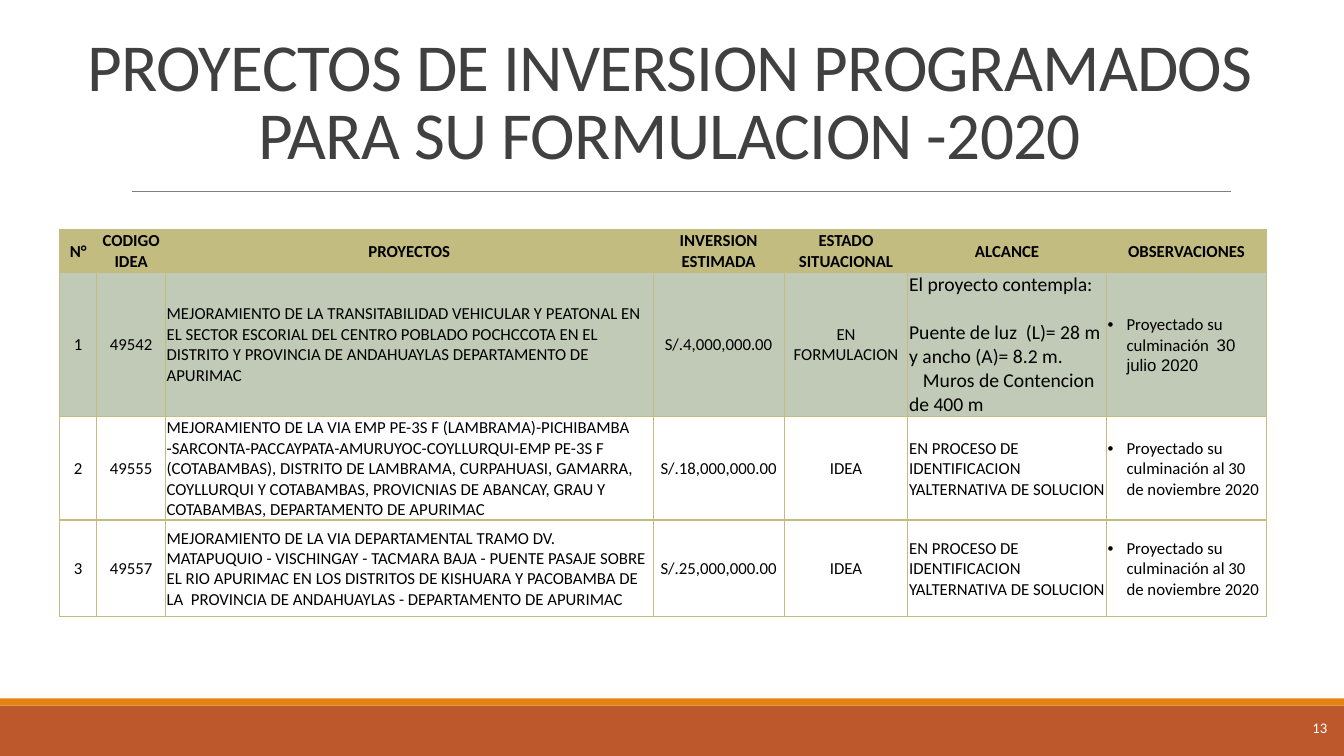
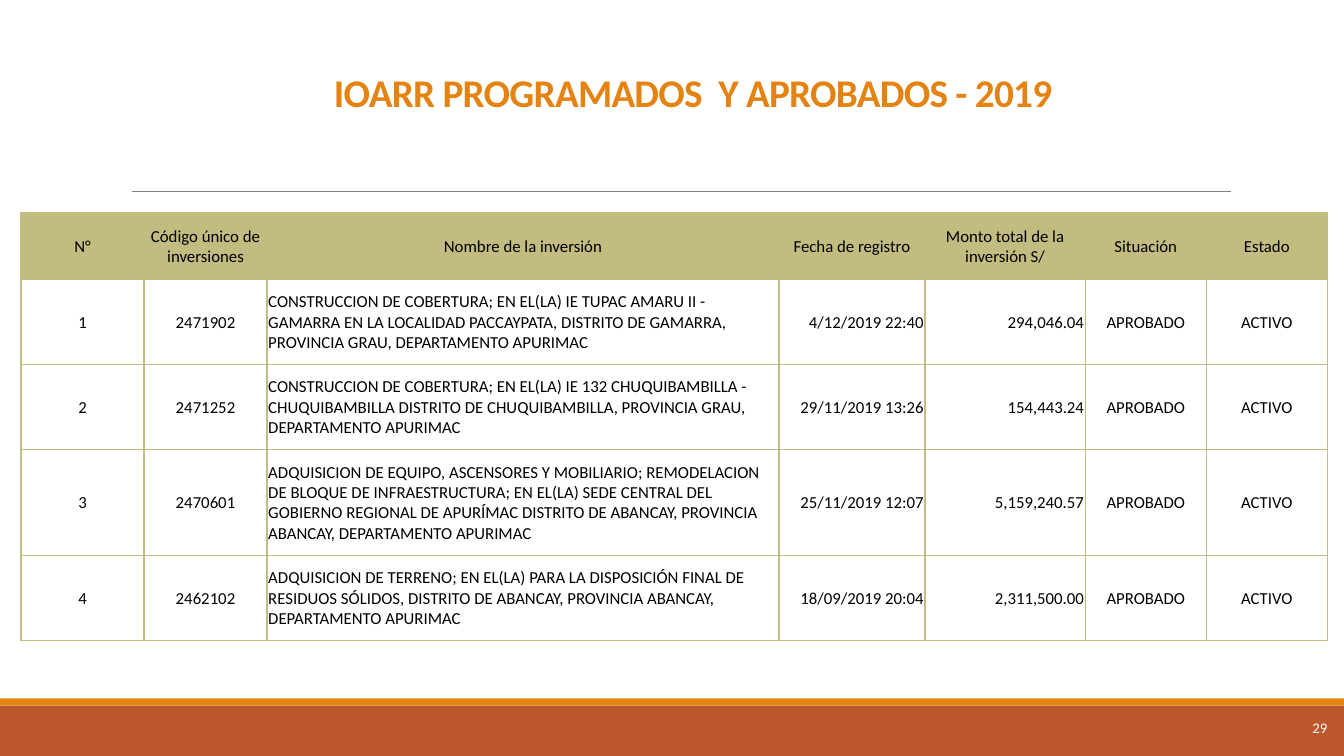
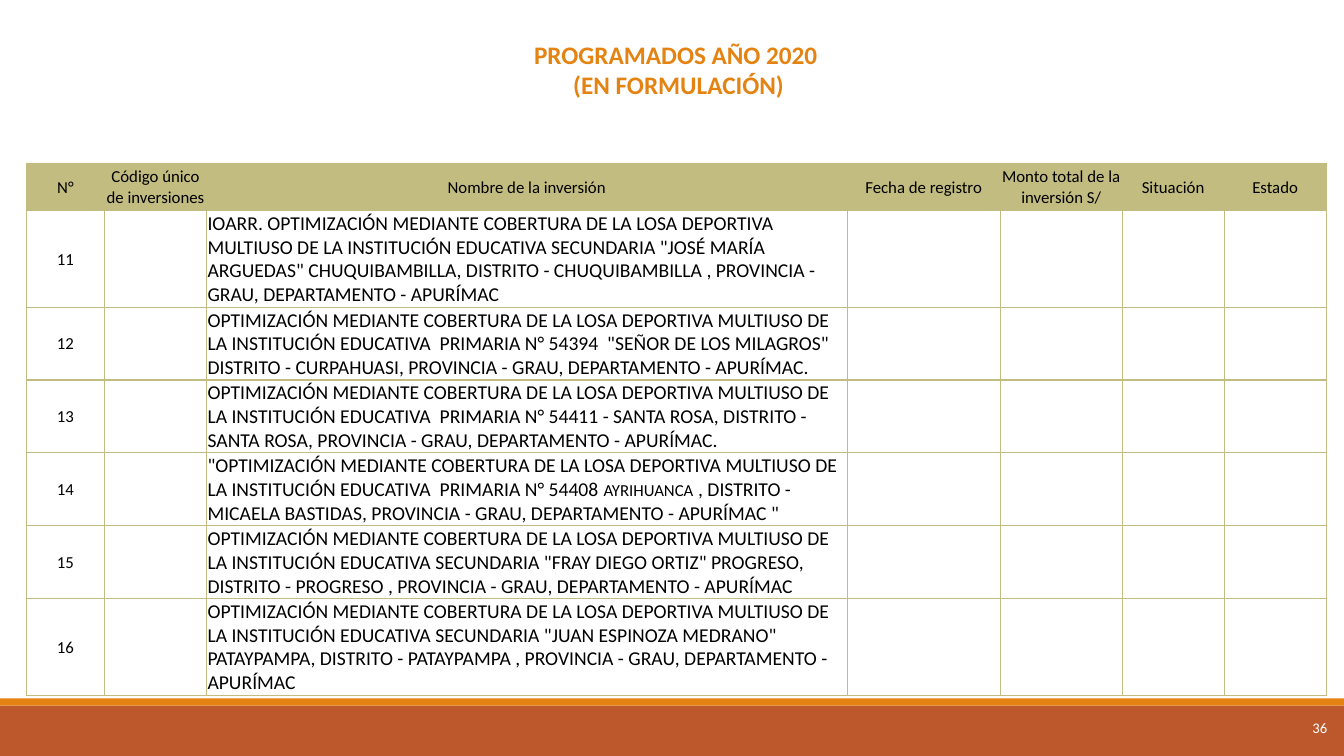
from lxml.etree import SubElement
from pptx import Presentation
from pptx.dml.color import RGBColor
from pptx.enum.shapes import MSO_CONNECTOR as CONN, MSO_SHAPE as SHAPE
from pptx.enum.text import MSO_ANCHOR as ANCHOR, MSO_AUTO_SIZE as FIT, PP_ALIGN as AL
from pptx.oxml.ns import qn
from pptx.util import Cm, Pt

COLORS = {
    "band": "BD582C", "accent": "E48312", "rule": "808080", "title": "404040",
    "table": "C2BC80", "active": "C1CAB6", "text": "000000", "white": "FFFFFF",
}
FONT = "Calibri"
WIDTH, HEIGHT = 33.87, 19.05
BAND_TOP, STRIPE_TOP = 17.78, 17.6

INVESTMENT_HEADER = [
    "N°", "Código único de inversiones", "Nombre de la inversión", "Fecha de registro",
    "Monto total de la inversión S/", "Situación", "Estado",
]
SCOPE_PENDING = "EN PROCESO DE IDENTIFICACION YALTERNATIVA DE SOLUCION"
DUE_NOVEMBER = "Proyectado su culminación al 30 de noviembre 2020"
COURT = "OPTIMIZACIÓN MEDIANTE COBERTURA DE LA LOSA DEPORTIVA MULTIUSO DE LA INSTITUCIÓN EDUCATIVA "


def rgb(name):
    return RGBColor.from_string(COLORS[name])


def place(sp, box):
    sp.left, sp.top, sp.width, sp.height = map(Cm, box)


def write(p, text, size=12, color="text", bold=False, font=FONT, align=AL.LEFT,
          track=None, line=None, before=None, first=None, bullet=False):
    """Add one formatted run to p; line, before, first and bullet shape the paragraph."""
    p.alignment = align
    pPr = p._p.get_or_add_pPr()
    if bullet:
        pPr.set("marL", str(Cm(0.48)))
        pPr.set("indent", str(-Cm(0.48)))
        SubElement(pPr, qn("a:buFont")).set("typeface", "Arial")
        SubElement(pPr, qn("a:buChar")).set("char", "•")
    if first:
        pPr.set("indent", str(Cm(first)))
    if line:
        p.line_spacing = line
    if before:
        p.space_before = Pt(before)
    r = p.add_run()
    r.text = text
    r.font.name, r.font.size, r.font.bold = font, Pt(size), bold
    r.font.color.rgb = rgb(color)
    if track:
        r._r.get_or_add_rPr().set("spc", str(round(track * 100)))


def setup_frame(tf, anchor, margin=0):
    tf.word_wrap, tf.auto_size, tf.vertical_anchor = True, FIT.NONE, anchor
    tf.margin_left = tf.margin_right = tf.margin_top = tf.margin_bottom = Cm(margin)


def add_band(s, box, color):
    sp = s.shapes.add_shape(SHAPE.RECTANGLE, *map(Cm, box))
    sp.shadow.inherit = False
    sp.fill.solid()
    sp.fill.fore_color.rgb = rgb(color)
    sp.line.fill.background()


def add_rule(s, left, right, y):
    line = s.shapes.add_connector(CONN.STRAIGHT, Cm(left), Cm(y), Cm(right), Cm(y))
    line.line.color.rgb = rgb("rule")
    line.line.width = Pt(0.5)
    SubElement(line._element.spPr, qn("a:effectLst"))


def add_footer(s, page):
    add_band(s, (0, BAND_TOP, WIDTH, HEIGHT - BAND_TOP), "band")
    add_band(s, (0, STRIPE_TOP, WIDTH, BAND_TOP - STRIPE_TOP), "accent")
    box = s.shapes.add_textbox(*map(Cm, (31.42, STRIPE_TOP, 2.03, HEIGHT - STRIPE_TOP)))
    setup_frame(box.text_frame, ANCHOR.MIDDLE)
    write(box.text_frame.paragraphs[0], str(page), size=10.5, color="white", align=AL.RIGHT)


def add_title(s, box, lines, anchor=ANCHOR.BOTTOM, margin=0, **fmt):
    sp = s.shapes.title
    place(sp, box)
    setup_frame(sp.text_frame, anchor, margin)
    p = sp.text_frame.paragraphs[0]
    for i, text in enumerate(lines):
        if i:
            p.add_line_break()
        write(p, text, align=AL.CENTER, **fmt)


def add_borders(cell):
    tcPr = cell._tc.get_or_add_tcPr()
    for i, side in enumerate(("lnL", "lnR", "lnT", "lnB")):
        ln = tcPr.makeelement(qn(f"a:{side}"), {"w": str(Pt(1))})
        fill = SubElement(ln, qn("a:solidFill"))
        SubElement(fill, qn("a:srgbClr")).set("val", COLORS["table"])
        tcPr.insert(i, ln)


def fill_cell(cell, content, fill=None, **fmt):
    """Content is a text, or a list of paragraphs, each a list of (text, format) runs."""
    cell.vertical_anchor = ANCHOR.MIDDLE
    cell.margin_left = cell.margin_right = cell.margin_top = Cm(0.03)
    cell.margin_bottom = 0
    if fill:
        cell.fill.solid()
        cell.fill.fore_color.rgb = rgb(fill)
    else:
        cell.fill.background()
    add_borders(cell)
    paragraphs = [[(content, {})]] if isinstance(content, str) else content
    tf = cell.text_frame
    for i, runs in enumerate(paragraphs):
        p = tf.add_paragraph() if i else tf.paragraphs[0]
        for j, (text, own) in enumerate(runs):
            if text:
                write(p, text, **{**fmt, **own, "bullet": fmt.get("bullet", False) and j == 0})


def add_grid(s, corner, widths, heights, rows, formats, header_bold=False, active=None):
    """Table whose first row is the header; formats maps a column to its body format."""
    size = sum(widths), sum(heights)
    frame = s.shapes.add_table(len(rows), len(widths), *map(Cm, (*corner, *size)))
    table = frame.table
    table.first_row = table.horz_banding = False
    for col, width in zip(table.columns, widths):
        col.width = Cm(width)
    for i, (row, height) in enumerate(zip(rows, heights)):
        table.rows[i].height = Cm(height)
        for j, content in enumerate(row):
            fmt = {"align": AL.CENTER, "bold": header_bold and i == 0}
            if i:
                fmt.update(formats.get(j, {}))
            fill = "table" if i == 0 else "active" if i == active else None
            fill_cell(table.cell(i, j), content, fill, **fmt)


def new_slide(prs, page, rule=True):
    s = prs.slides.add_slide(prs.slide_layouts[5])
    add_footer(s, page)
    if rule:
        add_rule(s, 3.33, 31.01, 4.83)
    return s


def build_projects(prs):
    s = new_slide(prs, 13)
    add_title(s, (2.21, 1.12, 29.34, 3.25),
              ["PROYECTOS DE INVERSION PROGRAMADOS PARA SU FORMULACION -2020"],
              size=48, color="title", track=-0.5, line=0.85)
    large = {"size": 14}
    scope = [
        [("El proyecto contempla:", large)],
        [("Puente de luz  (L)= 28 m y ancho (A)= 8.2 m.", {**large, "before": 17})],
        [("Muros de Contencion de 400 m", {**large, "first": 0.35})],
    ]
    due_july = [[("Proyectado su culminación  ", {}), ("30 julio 2020", {"font": "Arial"})]]
    rows = [
        ["N°", "CODIGO IDEA", "PROYECTOS", "INVERSION ESTIMADA", "ESTADO SITUACIONAL",
         "ALCANCE", "OBSERVACIONES"],
        ["1", "49542",
         "MEJORAMIENTO DE LA TRANSITABILIDAD VEHICULAR Y PEATONAL EN EL SECTOR ESCORIAL DEL "
         "CENTRO POBLADO POCHCCOTA EN EL DISTRITO Y PROVINCIA DE ANDAHUAYLAS DEPARTAMENTO DE "
         "APURIMAC",
         "S/.4,000,000.00", "EN FORMULACION", scope, due_july],
        ["2", "49555",
         "MEJORAMIENTO DE LA VIA EMP PE-3S F (LAMBRAMA)-PICHIBAMBA "
         "-SARCONTA-PACCAYPATA-AMURUYOC-COYLLURQUI-EMP PE-3S F (COTABAMBAS), DISTRITO DE "
         "LAMBRAMA, CURPAHUASI, GAMARRA, COYLLURQUI Y COTABAMBAS, PROVICNIAS DE ABANCAY, "
         "GRAU Y COTABAMBAS, DEPARTAMENTO DE APURIMAC",
         "S/.18,000,000.00", "IDEA", SCOPE_PENDING, DUE_NOVEMBER],
        ["3", "49557",
         "MEJORAMIENTO DE LA VIA DEPARTAMENTAL TRAMO DV. MATAPUQUIO - VISCHINGAY - TACMARA "
         "BAJA - PUENTE PASAJE SOBRE EL RIO APURIMAC EN LOS DISTRITOS DE KISHUARA Y PACOBAMBA "
         "DE LA  PROVINCIA DE ANDAHUAYLAS - DEPARTAMENTO DE APURIMAC",
         "S/.25,000,000.00", "IDEA", SCOPE_PENDING, DUE_NOVEMBER],
    ]
    left = {"align": AL.LEFT}
    add_grid(s, (1.5, 5.79), [0.94, 1.73, 12.29, 3.3, 3.12, 5, 4.04], [1.06, 3.64, 2.6, 2.44],
             rows, {2: left, 5: left, 6: {**left, "bullet": True}}, header_bold=True, active=1)


def build_approved(prs):
    s = new_slide(prs, 29)
    add_title(s, (2.79, 1.45, 29.34, 1.45), ["IOARR PROGRAMADOS  Y APROBADOS - 2019"],
              size=28, color="accent", bold=True, track=-0.5)
    investments = [
        ("2471902",
         "CONSTRUCCION DE COBERTURA; EN EL(LA) IE TUPAC AMARU II - GAMARRA EN LA LOCALIDAD "
         "PACCAYPATA, DISTRITO DE GAMARRA, PROVINCIA GRAU, DEPARTAMENTO APURIMAC",
         "4/12/2019 22:40", "294,046.04"),
        ("2471252",
         "CONSTRUCCION DE COBERTURA; EN EL(LA) IE 132 CHUQUIBAMBILLA - CHUQUIBAMBILLA "
         "DISTRITO DE CHUQUIBAMBILLA, PROVINCIA GRAU, DEPARTAMENTO APURIMAC",
         "29/11/2019 13:26", "154,443.24"),
        ("2470601",
         "ADQUISICION DE EQUIPO, ASCENSORES Y MOBILIARIO; REMODELACION DE BLOQUE DE "
         "INFRAESTRUCTURA; EN EL(LA) SEDE CENTRAL DEL GOBIERNO REGIONAL DE APURÍMAC DISTRITO "
         "DE ABANCAY, PROVINCIA ABANCAY, DEPARTAMENTO APURIMAC",
         "25/11/2019 12:07", "5,159,240.57"),
        ("2462102",
         "ADQUISICION DE TERRENO; EN EL(LA) PARA LA DISPOSICIÓN FINAL DE RESIDUOS SÓLIDOS, "
         "DISTRITO DE ABANCAY, PROVINCIA ABANCAY, DEPARTAMENTO APURIMAC",
         "18/09/2019 20:04", "2,311,500.00"),
    ]
    rows = [INVESTMENT_HEADER] + [
        [str(n), *item, "APROBADO", "ACTIVO"] for n, item in enumerate(investments, 1)]
    right = {"align": AL.RIGHT}
    add_grid(s, (0.53, 5.36), [3.1, 3.1, 12.9, 3.68, 4.04, 3.05, 3.05],
             [1.68, 2.14, 2.14, 2.68, 2.14], rows, {2: {"align": AL.LEFT}, 3: right, 4: right})


def build_programmed(prs):
    s = new_slide(prs, 36, rule=False)
    add_title(s, (2.82, 0.86, 28.42, 1.8), ["PROGRAMADOS AÑO 2020", " (EN FORMULACIÓN)"],
              anchor=ANCHOR.TOP, margin=0.13, size=18, color="accent", bold=True)
    names = [
        "IOARR. " + COURT + 'SECUNDARIA "JOSÉ MARÍA ARGUEDAS" CHUQUIBAMBILLA, DISTRITO - '
        "CHUQUIBAMBILLA , PROVINCIA - GRAU, DEPARTAMENTO - APURÍMAC",
        COURT + ' PRIMARIA N° 54394  "SEÑOR DE LOS MILAGROS"  DISTRITO - CURPAHUASI, '
        "PROVINCIA - GRAU, DEPARTAMENTO - APURÍMAC.",
        COURT + " PRIMARIA N° 54411 - SANTA ROSA, DISTRITO - SANTA ROSA, PROVINCIA - GRAU, "
        "DEPARTAMENTO - APURÍMAC.",
        [[('"' + COURT + " PRIMARIA N° 54408 ", {}), ("AYRIHUANCA", {"size": 12}),
          (' , DISTRITO - MICAELA BASTIDAS, PROVINCIA - GRAU, DEPARTAMENTO - APURÍMAC "', {})]],
        COURT + 'SECUNDARIA "FRAY DIEGO ORTIZ" PROGRESO, DISTRITO - PROGRESO , '
        "PROVINCIA - GRAU, DEPARTAMENTO - APURÍMAC",
        COURT + 'SECUNDARIA "JUAN ESPINOZA MEDRANO" PATAYPAMPA, DISTRITO - PATAYPAMPA , '
        "PROVINCIA - GRAU, DEPARTAMENTO - APURÍMAC",
    ]
    rows = [INVESTMENT_HEADER] + [
        [str(n), "", name, "", "", "", ""] for n, name in enumerate(names, 11)]
    add_grid(s, (0.66, 4.11), [1.98, 2.56, 16.15, 3.86, 3.07, 2.57, 2.57],
             [1.19, 2.44, 1.82, 1.82, 1.82, 1.82, 2.44], rows,
             {2: {"align": AL.LEFT, "size": 14}})


def main():
    prs = Presentation()
    prs.slide_width, prs.slide_height = Cm(WIDTH), Cm(HEIGHT)
    for build in (build_projects, build_approved, build_programmed):
        build(prs)
    prs.save("out.pptx")


if __name__ == "__main__":
    main()
